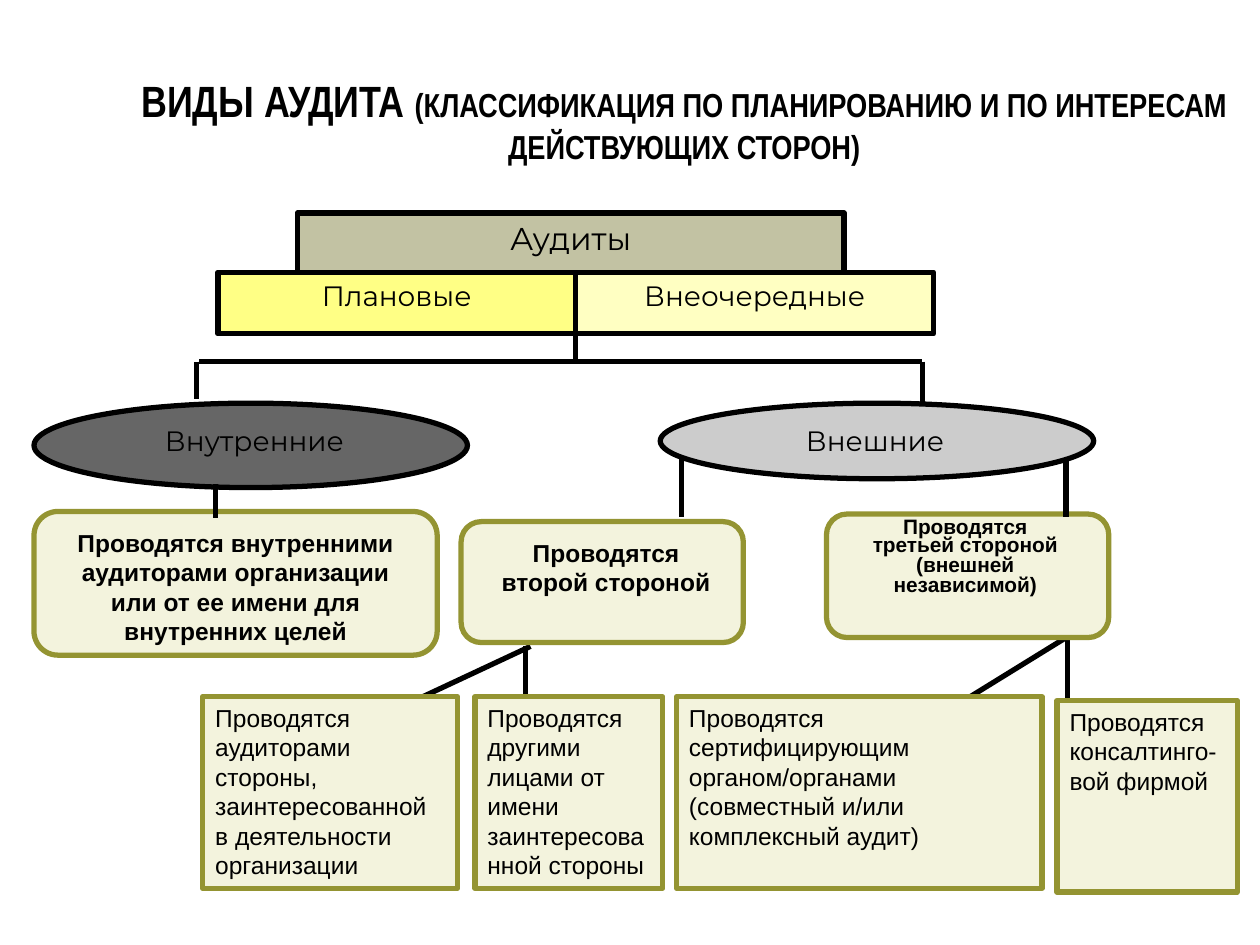
from lxml.etree import SubElement
from pptx import Presentation
from pptx.dml.color import RGBColor
from pptx.enum.shapes import MSO_CONNECTOR, MSO_SHAPE
from pptx.enum.text import MSO_ANCHOR, MSO_AUTO_SIZE, PP_ALIGN
from pptx.oxml.ns import qn
from pptx.util import Inches, Pt

# The slide is a grid of 100 columns by 75 rows.
COLS, ROWS = 100, 75
CELL = Inches(0.1)

BLACK = RGBColor(0x00, 0x00, 0x00)
KHAKI = RGBColor(0xC2, 0xC2, 0xA3)
YELLOW = RGBColor(0xFF, 0xFF, 0x85)
PALE = RGBColor(0xFF, 0xFF, 0xC2)
DARK = RGBColor(0x66, 0x66, 0x66)
LIGHT = RGBColor(0xCC, 0xCC, 0xCC)
CREAM = RGBColor(0xF3, 0xF3, 0xDD)
OLIVE = RGBColor(0x94, 0x94, 0x32)

PAD = (1, 0.5)
NONE = (0, 0)

TOP = [
    ("Аудиты", (23.6, 16.9, 43.4, 4.9), KHAKI, 18),
    ("Плановые", (17.3, 21.6, 28.4, 4.9), YELLOW, 16),
    ("Внеочередные", (45.7, 21.6, 28.4, 4.9), PALE, 16),
]
KINDS = [
    ("Внутренние", (2.7, 32, 34.4, 6.7), (9, 33.6, 22.4, 3.4), DARK),
    ("Внешние", (52.4, 32, 34.4, 6), (58.2, 33.6, 22.5, 3.4), LIGHT),
]
SIDES = [
    ("Проводятся внутренними аудиторами организации или от ее имени для внутренних целей",
     (2.7, 40.6, 32, 11.4), (4.7, 41.9, 28, 9.6), NONE, 14, ()),
    ("Проводятся\nвторой стороной",
     (36.6, 41.4, 22.4, 9.6), (38.2, 42.2, 19.8, 8.1), PAD, 14, ()),
    ("Проводятся\nтретьей стороной (внешней независимой)",
     (65.6, 40.8, 22.4, 9.8), (66.7, 41.1, 19.8, 8.3), PAD, 11.9, (0.5, 0.8)),
]
LEAVES = [
    ("Проводятся консалтинго-вой фирмой", (83.9, 55.6, 14.3, 15.2)),
    ("Проводятся сертифицирующим органом/органами\n(совместный и/или комплексный аудит)",
     (53.7, 55.3, 29, 15.2)),
    ("Проводятся другими лицами от имени заинтересованной стороны",
     (37.7, 55.3, 14.9, 15.2)),
    ("Проводятся\nаудиторами\nстороны, заинтересованной в деятельности организации",
     (16.1, 55.3, 20.2, 15.2)),
]
FORKS = [
    (41.7, 51.3, 41.7, 55.6), (42.1, 51.3, 32.7, 55.7),
    (84.7, 50.3, 84.7, 56.1), (85.1, 50.3, 75.7, 56.1),
]
LINKS = [
    (45.7, 26.5, 45.7, 28.7), (15.8, 28.7, 73.2, 28.7),
    (15.6, 28.7, 15.6, 31.7), (73.2, 28.7, 73.2, 32),
    (54.1, 36.2, 54.1, 41), (84.6, 36.5, 84.6, 41), (17.1, 38.4, 17.1, 41.1),
]


def grid(spots):
    return [round(spot * CELL) for spot in spots]


def style(font, name, size, bold=False):
    font.name, font.size, font.bold = name, Pt(size), bold
    font.color.rgb = BLACK


def add_box(slide, form, area, fill, edge=None):
    box = slide.shapes.add_shape(form, *grid(area))
    box.shadow.inherit = False
    box.fill.solid()
    box.fill.fore_color.rgb = fill
    if edge is None:
        box.line.fill.background()
    else:
        box.line.color.rgb = edge
        box.line.width = Pt(3)
    return box


def write(box, text, name, size, bold=False, align=PP_ALIGN.CENTER, pad=PAD, gaps=()):
    """Fill a box with text; gaps are line spacings, one per paragraph."""
    frame = box.text_frame
    frame.text = text
    frame.word_wrap = True
    frame.vertical_anchor = MSO_ANCHOR.TOP
    across, down = grid(pad)
    frame.margin_left = frame.margin_right = across
    frame.margin_top = frame.margin_bottom = down
    for para in frame.paragraphs:
        para.alignment = align
        for run in para.runs:
            style(run.font, name, size, bold)
    for para, gap in zip(frame.paragraphs, gaps):
        para.line_spacing = gap


def add_lines(slide, lines):
    for ends in lines:
        line = slide.shapes.add_connector(MSO_CONNECTOR.STRAIGHT, *grid(ends))
        line.line.color.rgb = BLACK
        line.line.width = Pt(3)
        SubElement(line._element.spPr, qn("a:effectLst"))


def set_title(slide):
    title = slide.shapes.title
    title.left, title.top, title.width, title.height = grid((8.6, 4.4, 91.4, 9.3))
    frame = title.text_frame
    frame.word_wrap = True
    frame.auto_size = MSO_AUTO_SIZE.NONE
    frame.vertical_anchor = MSO_ANCHOR.BOTTOM
    para = frame.paragraphs[0]
    para.alignment = PP_ALIGN.CENTER
    for text, size in (
        ("ВИДЫ АУДИТА ", 25),
        ("(КЛАССИФИКАЦИЯ ПО ПЛАНИРОВАНИЮ И ПО ИНТЕРЕСАМ ДЕЙСТВУЮЩИХ СТОРОН)", 19),
    ):
        run = para.add_run()
        run.text = text
        style(run.font, "Arial Narrow", size, True)


def main():
    deck = Presentation()
    deck.slide_width, deck.slide_height = COLS * CELL, ROWS * CELL
    slide = deck.slides.add_slide(deck.slide_layouts[5])
    set_title(slide)
    add_lines(slide, FORKS)
    for text, area, fill, size in TOP:
        box = add_box(slide, MSO_SHAPE.RECTANGLE, area, fill, BLACK)
        write(box, text, "Montserrat", size)
    for text, area, inner, fill in KINDS:
        add_box(slide, MSO_SHAPE.OVAL, area, fill, BLACK)
        label = add_box(slide, MSO_SHAPE.RECTANGLE, inner, fill)
        write(label, text, "Montserrat", 16, pad=NONE)
    for text, area, inner, pad, size, gaps in SIDES:
        add_box(slide, MSO_SHAPE.ROUNDED_RECTANGLE, area, CREAM, OLIVE)
        label = add_box(slide, MSO_SHAPE.RECTANGLE, inner, CREAM)
        write(label, text, "Arial", size, True, pad=pad, gaps=gaps)
    for text, area in LEAVES:
        box = add_box(slide, MSO_SHAPE.RECTANGLE, area, CREAM, OLIVE)
        write(box, text, "Arial", 14, align=PP_ALIGN.LEFT)
    add_lines(slide, LINKS)
    deck.save("out.pptx")


if __name__ == "__main__":
    main()
